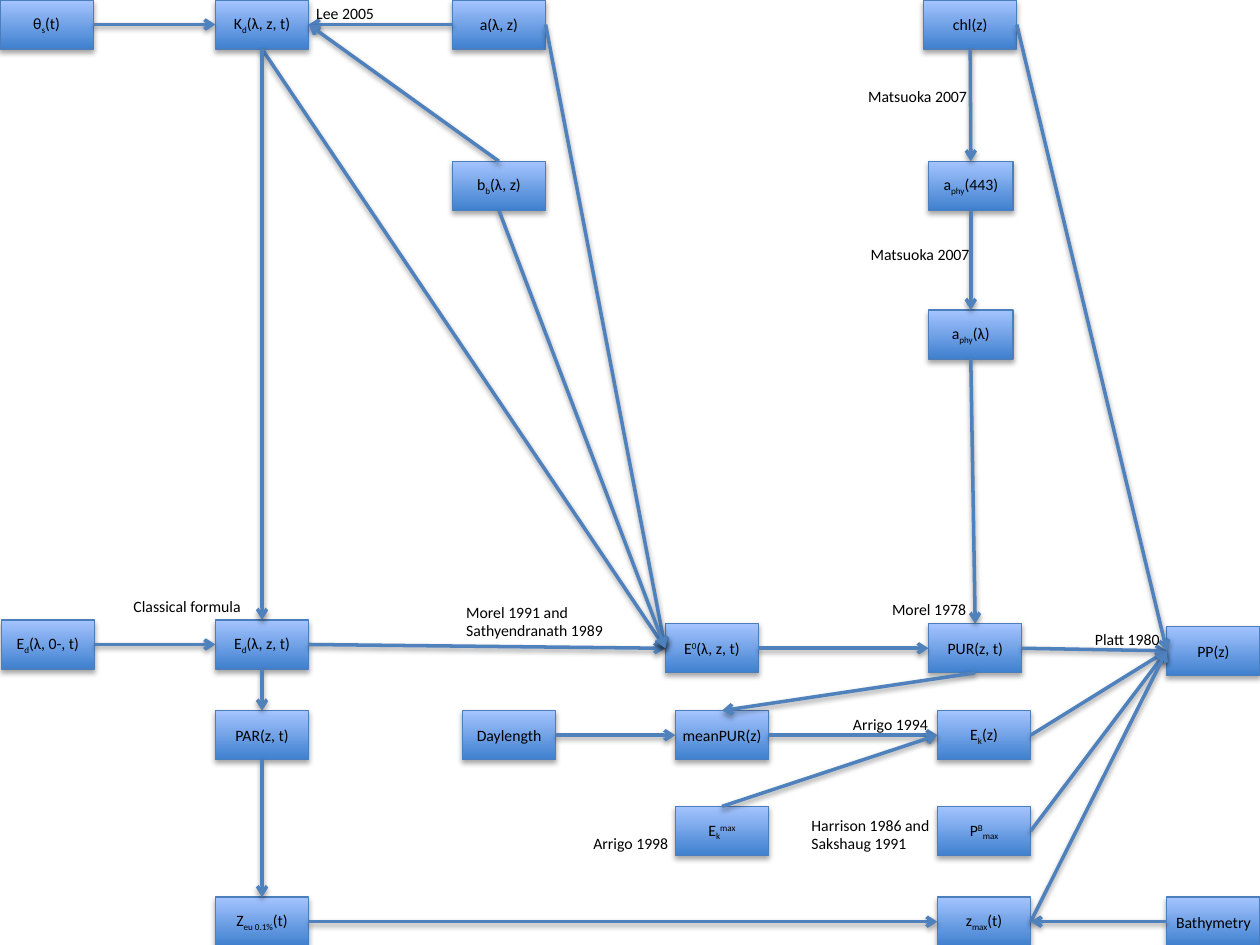
from lxml import etree
from pptx import Presentation
from pptx.dml.color import RGBColor
from pptx.enum import shapes, text
from pptx.oxml.ns import qn
from pptx.util import Inches, Pt

# Content: name -> (left, top, text); "|" splits runs, "_" lowers and "^" raises
BOXES = {
    "theta": (0, 0, "θ|_s|(t)"),
    "kd": (1.71, 0, "K|_d|(λ, z, t)"),
    "ed0": (0.01, 4.92, "E|_d|(λ, 0-, t)"),
    "a": (3.59, 0, "a(λ, z)"),
    "bb": (3.59, 1.28, "b|_b|(λ, z)"),
    "ed": (1.71, 4.92, "E|_d|(λ, z, t)"),
    "day": (3.67, 5.64, "Daylength"),
    "aphy443": (7.37, 1.28, "a|_phy|(443)"),
    "aphy": (7.37, 2.46, "a|_phy|(λ)"),
    "e0": (5.28, 4.95, "E|^0|(λ, z, t)"),
    "mean": (5.36, 5.64, "meanPUR(z)"),
    "ekmax": (5.36, 6.4, "E|_k|^max"),
    "chl": (7.33, 0, "chl(z)"),
    "pur": (7.37, 4.95, "PUR(z, t)"),
    "ek": (7.44, 5.64, "E|_k|(z)"),
    "pmax": (7.44, 6.4, "P|^B|_max"),
    "pp": (9.26, 4.97, "PP(z)"),
    "zmax": (7.44, 7.12, "z|_max|(t)"),
    "bathy": (9.26, 7.12, "Bathymetry"),
    "par": (1.71, 5.64, "PAR(z, t)"),
    "zeu": (1.71, 7.12, "Z|_eu 0.1%|(t)"),
}
WIDE, HIGH = 0.74, 0.39
NARROW = {"aphy443": 0.67, "aphy": 0.67}

# Arrows: (from, side, to, side)
TOP, LEFT, BOTTOM, RIGHT = range(4)
ARROWS = [
    ("ed0", RIGHT, "ed", LEFT), ("ed", RIGHT, "e0", LEFT),
    ("e0", RIGHT, "pur", LEFT), ("pur", RIGHT, "pp", LEFT),
    ("theta", RIGHT, "kd", LEFT), ("a", LEFT, "kd", RIGHT),
    ("chl", RIGHT, "pp", LEFT), ("pur", BOTTOM, "mean", TOP),
    ("day", RIGHT, "mean", LEFT), ("mean", RIGHT, "ek", LEFT),
    ("ek", RIGHT, "pp", LEFT), ("ekmax", TOP, "ek", LEFT),
    ("pmax", RIGHT, "pp", LEFT), ("kd", BOTTOM, "e0", LEFT),
    ("bb", TOP, "kd", RIGHT), ("kd", BOTTOM, "ed", TOP),
    ("chl", BOTTOM, "aphy443", TOP), ("aphy443", BOTTOM, "aphy", TOP),
    ("aphy", BOTTOM, "pur", TOP), ("a", RIGHT, "e0", LEFT),
    ("bb", BOTTOM, "e0", LEFT), ("zmax", RIGHT, "pp", LEFT),
    ("bathy", LEFT, "zmax", RIGHT), ("ed", BOTTOM, "par", TOP),
    ("par", BOTTOM, "zeu", TOP), ("zeu", RIGHT, "zmax", LEFT),
]

# Labels: (left, top, width, lines)
LABELS = [
    (2.46, 0, 0.56, ["Lee 2005"]),
    (1.01, 4.71, 0.96, ["Classical formula"]),
    (3.65, 4.75, 1.2, ["Morel 1991 and", "Sathyendranath 1989"]),
    (6.84, 0.66, 0.9, ["Matsuoka 2007"]),
    (6.86, 1.91, 0.9, ["Matsuoka 2007"]),
    (4.66, 6.59, 0.7, ["Arrigo 1998"]),
    (7.03, 4.73, 0.7, ["Morel 1978"]),
    (6.72, 5.64, 0.7, ["Arrigo 1994"]),
    (6.39, 6.44, 1.05, ["Harrison 1986 and", "Sakshaug 1991"]),
    (8.64, 4.97, 0.62, ["Platt 1980"]),
]

HEX = {"dark": "3F80CE", "light": "A4C4FF", "edge": "4B7EBC",
       "arrow": "4F81BD", "text": "000000", "shade": "000000"}
COLOR = {name: RGBColor.from_string(code) for name, code in HEX.items()}
FONT = {"name": "Calibri", "size": Pt(9)}
INSETS = {"margin_left": Inches(0.05), "margin_right": Inches(0.05),
          "margin_top": Inches(0.03), "margin_bottom": Inches(0.03)}
SHIFT = {"_": "-25000", "^": "30000"}


def style(item, values):
    for key, value in values.items():
        setattr(item, key, value)


def shade(shape, dist, alpha):
    """Give a shape or connector a soft shadow straight below it."""
    props = shape._element.spPr
    effects = etree.SubElement(props, qn("a:effectLst"))
    outer = etree.SubElement(effects, qn("a:outerShdw"), blurRad=str(Pt(3.1)),
                             dist=str(Pt(dist)), dir="5400000", rotWithShape="0")
    color = etree.SubElement(outer, qn("a:srgbClr"), val=HEX["shade"])
    etree.SubElement(color, qn("a:alpha"), val=str(alpha * 1000))


def write(para, words):
    for part in words.split("|"):
        run = para.add_run()
        run.text = part.lstrip("_^")
        style(run.font, FONT)
        run.font.color.rgb = COLOR["text"]
        if part[0] in SHIFT:
            run._r.get_or_add_rPr().set("baseline", SHIFT[part[0]])


def add_box(slide, name, left, top, words):
    size = [Inches(n) for n in (left, top, NARROW.get(name, WIDE), HIGH)]
    box = slide.shapes.add_shape(shapes.MSO_SHAPE.RECTANGLE, *size)
    box.fill.gradient()
    box.fill.gradient_angle = 90
    for stop, tone in zip(box.fill.gradient_stops, ("dark", "light")):
        stop.color.rgb = COLOR[tone]
    for stop, place in zip(box.fill.gradient_stops, (0, 1)):
        stop.position = place
    box.line.color.rgb = COLOR["edge"]
    box.line.width = Pt(0.75)
    shade(box, 1.8, 35)
    frame = box.text_frame
    style(frame, INSETS)
    style(frame, {"word_wrap": True, "vertical_anchor": text.MSO_ANCHOR.MIDDLE})
    para = frame.paragraphs[0]
    para.alignment = text.PP_ALIGN.CENTER
    write(para, words)
    return box


def add_arrow(slide, start, out, end, into):
    arrow = slide.shapes.add_connector(shapes.MSO_CONNECTOR.STRAIGHT, 0, 0, 0, 0)
    arrow.begin_connect(start, out)
    arrow.end_connect(end, into)
    arrow.line.color.rgb = COLOR["arrow"]
    arrow.line.width = Pt(2)
    etree.SubElement(arrow.line._get_or_add_ln(), qn("a:tailEnd"), type="arrow")
    shade(arrow, 1.6, 38)


def add_label(slide, left, top, width, lines):
    height = 0.05 + 0.15 * len(lines)
    label = slide.shapes.add_textbox(*map(Inches, (left, top, width, height)))
    frame = label.text_frame
    style(frame, INSETS)
    style(frame, {"word_wrap": False, "auto_size": text.MSO_AUTO_SIZE.SHAPE_TO_FIT_TEXT})
    for i, line in enumerate(lines):
        write(frame.add_paragraph() if i else frame.paragraphs[0], line)


def main():
    deck = Presentation()
    style(deck, {"slide_width": Inches(10), "slide_height": Inches(7.5)})
    slide = deck.slides.add_slide(deck.slide_layouts[6])
    boxes = {name: add_box(slide, name, *spec) for name, spec in BOXES.items()}
    for start, out, end, into in ARROWS:
        add_arrow(slide, boxes[start], out, boxes[end], into)
    for label in LABELS:
        add_label(slide, *label)
    deck.save("out.pptx")


if __name__ == "__main__":
    main()
